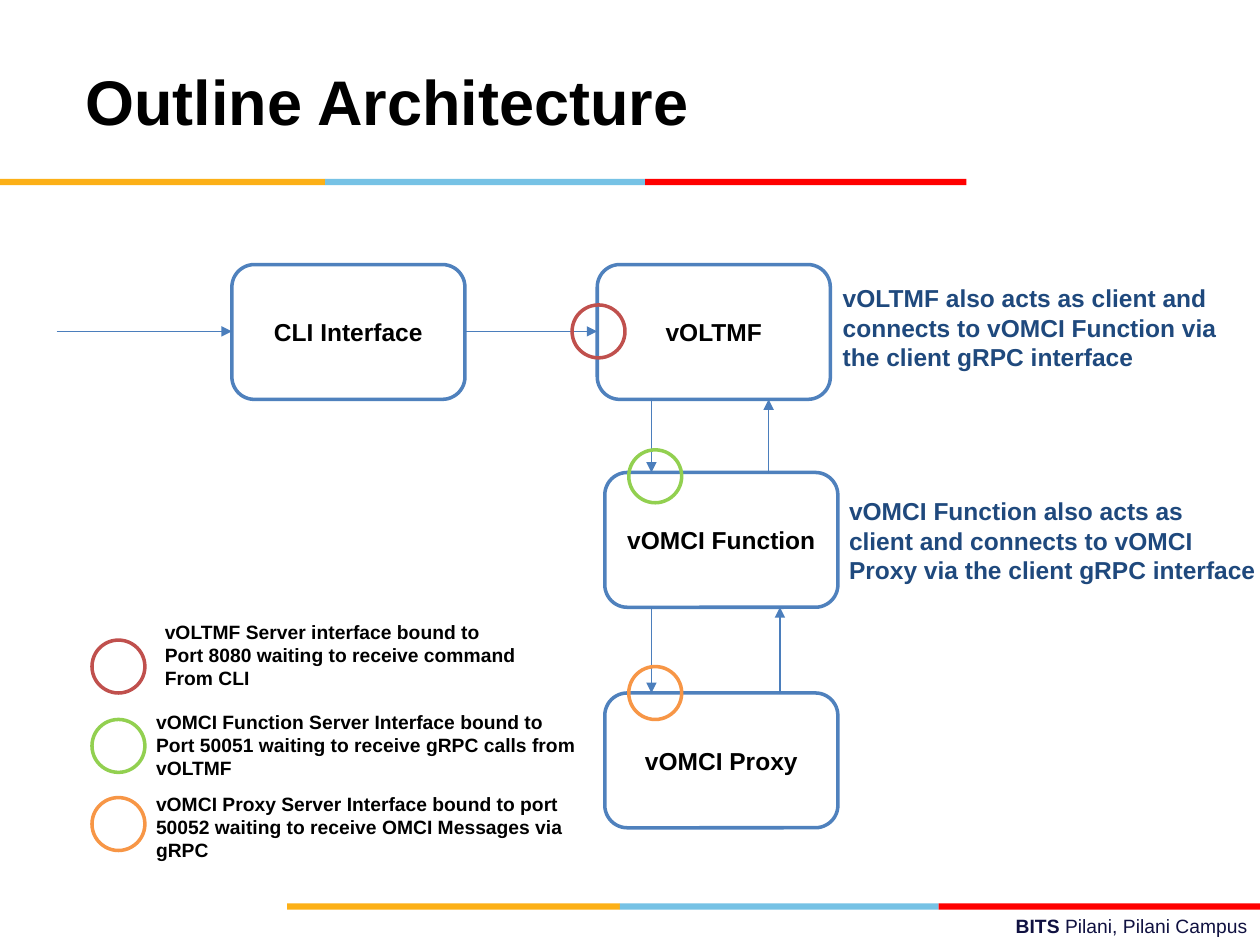
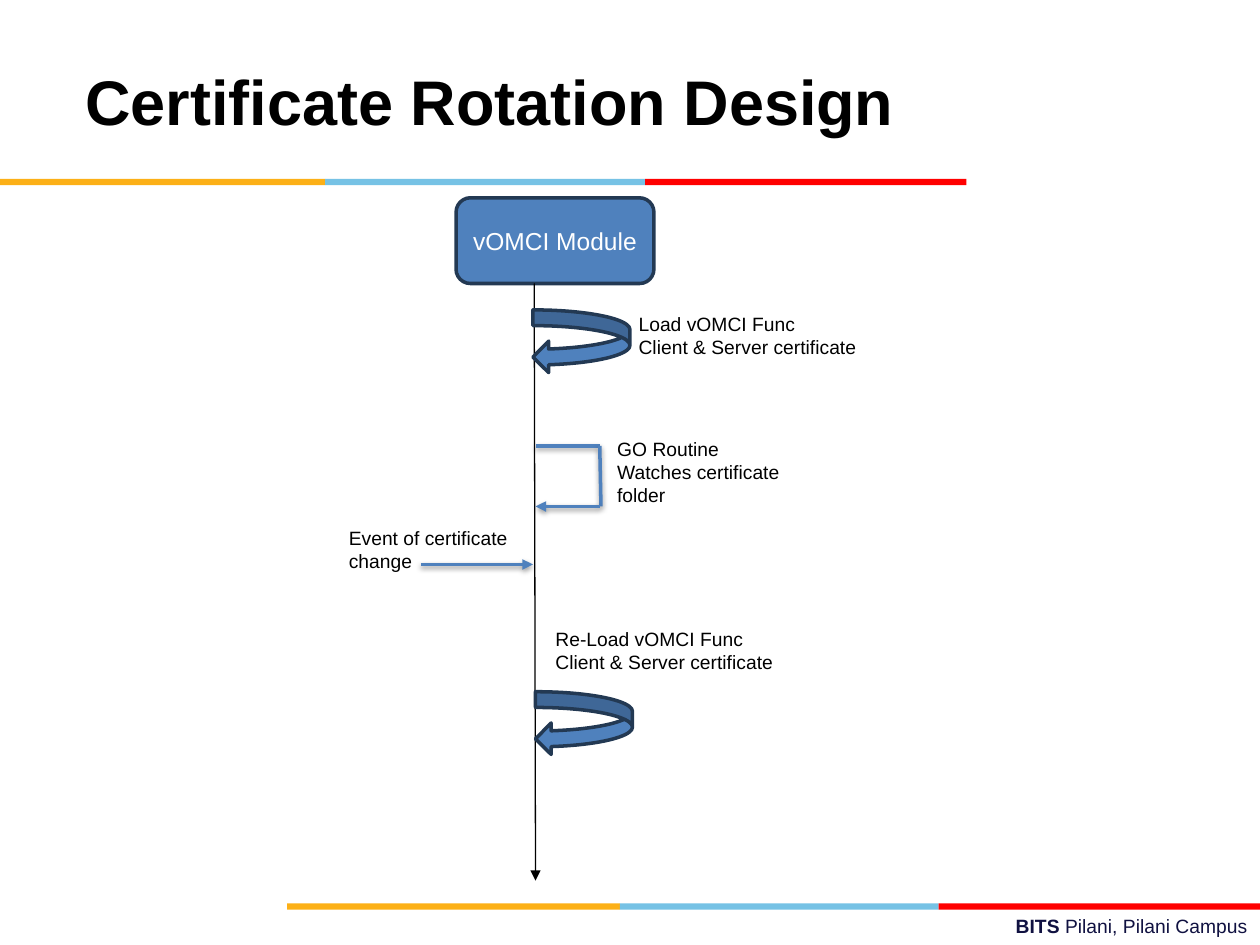
"""Build two slides on a gRPC architecture and its certificate rotation."""
from dataclasses import dataclass

from lxml import etree
from pptx import Presentation
from pptx.dml.color import RGBColor
from pptx.enum.shapes import MSO_CONNECTOR, MSO_SHAPE
from pptx.enum.text import MSO_ANCHOR, PP_ALIGN
from pptx.oxml.ns import qn
from pptx.shapes.autoshape import Shape
from pptx.slide import Slide
from pptx.util import Emu, Pt

STRAIGHT = MSO_CONNECTOR.STRAIGHT
RECT = MSO_SHAPE.RECTANGLE
ROUND = MSO_SHAPE.ROUNDED_RECTANGLE
OVAL = MSO_SHAPE.OVAL
CURVE = MSO_SHAPE.CURVED_LEFT_ARROW
MIDDLE = MSO_ANCHOR.MIDDLE
TOP = MSO_ANCHOR.TOP
LEFT = PP_ALIGN.LEFT
CENTER = PP_ALIGN.CENTER
RIGHT = PP_ALIGN.RIGHT

SCALE = 9144
FONT = "Arial"
BLACK = RGBColor(0x00, 0x00, 0x00)
WHITE = RGBColor(0xFF, 0xFF, 0xFF)
BLUE = RGBColor(0x4F, 0x81, 0xBD)
STEEL = RGBColor(0x4B, 0x7E, 0xBC)
DARK = RGBColor(0x23, 0x39, 0x53)
NAVY = RGBColor(0x1F, 0x49, 0x7D)
INK = RGBColor(0x10, 0x11, 0x41)
SKY = RGBColor(0x76, 0xC2, 0xE5)
GOLD = RGBColor(0xFC, 0xB0, 0x17)
RED = RGBColor(0xFF, 0x00, 0x00)
BRICK = RGBColor(0xC0, 0x50, 0x4D)
GREEN = RGBColor(0x92, 0xD0, 0x50)
ORANGE = RGBColor(0xF7, 0x96, 0x46)

RING = 42
BOX_W, BOX_H = 185, 107


@dataclass(frozen=True)
class Area:
    """A rectangle in px."""
    x: int
    y: int
    w: int
    h: int

    def emu(self) -> tuple[Emu, ...]:
        """Give left, top, width and height in EMU."""
        return tuple(px(n) for n in (self.x, self.y, self.w, self.h))


@dataclass(frozen=True)
class Type:
    """The look of a text."""
    size: int
    color: RGBColor = BLACK
    bold: bool = False
    align: PP_ALIGN = LEFT
    anchor: MSO_ANCHOR = TOP


@dataclass(frozen=True)
class Line:
    """A straight line between two points in px."""
    x1: int
    y1: int
    x2: int
    y2: int
    head: bool = True


@dataclass(frozen=True)
class Pen:
    """The stroke of a line."""
    color: RGBColor
    width: float
    shade: bool = False


@dataclass(frozen=True)
class Note:
    """A text with its place."""
    area: Area
    text: str


@dataclass(frozen=True)
class Ring:
    """A circle that marks a server port."""
    x: int
    y: int
    color: RGBColor


TITLE = Type(36, bold=True, anchor=MIDDLE)
NAME = Type(14, bold=True, align=CENTER, anchor=MIDDLE)
SOLID = Type(14, WHITE, align=CENTER, anchor=MIDDLE)
ASIDE = Type(14, NAVY, True)
KEY = Type(11, bold=True)
STEP = Type(11)
FOOT = Type(11, INK, align=RIGHT)

FLOW = Pen(STEEL, 0.75)
LIFE = Pen(BLACK, 0.75)
CALL = Pen(BLUE, 2, True)

BANDS = ((142, (0, 258, 512, 767)), (717, (228, 492, 745, 1000)))

PARTS = (
    Note(Area(184, 210, BOX_W, BOX_H), "CLI Interface"),
    Note(Area(474, 210, BOX_W, BOX_H), "vOLTMF"),
    Note(Area(480, 375, BOX_W, BOX_H), "vOMCI Function"),
    Note(Area(480, 550, BOX_W, BOX_H), "vOMCI Proxy"),
)
FLOWS = (
    Line(45, 263, 184, 263), Line(369, 263, 474, 263),
    Line(517, 317, 517, 375), Line(610, 375, 610, 317),
    Line(517, 482, 517, 550), Line(619, 550, 619, 482),
)
RINGS = (
    Ring(454, 242, BRICK), Ring(499, 357, GREEN), Ring(499, 529, ORANGE),
    Ring(73, 508, BRICK), Ring(73, 571, GREEN), Ring(73, 633, ORANGE),
)
KEYS = (
    Note(Area(121, 487, 300, 66),
         "vOLTMF Server interface bound to\n"
         "Port 8080 waiting to receive command\nFrom CLI"),
    Note(Area(114, 559, 359, 66),
         "vOMCI Function Server Interface bound to\n"
         "Port 50051 waiting to receive gRPC calls from\nvOLTMF"),
    Note(Area(114, 624, 344, 66),
         "vOMCI Proxy Server Interface bound to port\n"
         "50052 waiting to receive OMCI Messages via\ngRPC"),
)
ASIDES = (
    Note(Area(664, 389, 344, 81),
         "vOMCI Function also acts as\nclient and connects to vOMCI\n"
         "Proxy via the client gRPC interface"),
    Note(Area(659, 220, 323, 81),
         "vOLTMF also acts as client and\nconnects to vOMCI Function via\n"
         "the client gRPC interface"),
)

CALLS = (
    Line(425, 354, 476, 354, False), Line(476, 354, 477, 402, False),
    Line(476, 402, 425, 402), Line(334, 448, 423, 448),
)
LOOPS = (Area(423, 246, 77, 50), Area(425, 549, 77, 50))
STEPS = (
    Note(Area(497, 243, 194, 47),
         "Load vOMCI Func\nClient & Server certificate"),
    Note(Area(480, 342, 150, 66),
         "GO Routine\nWatches certificate\nfolder"),
    Note(Area(267, 413, 147, 47), "Event of certificate\nchange"),
    Note(Area(431, 493, 194, 47),
         "Re-Load vOMCI Func\nClient & Server certificate"),
)


def px(n: int) -> Emu:
    """Turn px into EMU."""
    return Emu(n * SCALE)


def write(shape: Shape, text: str, kind: Type) -> None:
    """Fill a shape with text, one paragraph a line."""
    frame = shape.text_frame
    frame.text = text
    frame.vertical_anchor = kind.anchor
    for para in frame.paragraphs:
        para.alignment = kind.align
        font = para.font
        font.name, font.size, font.bold = FONT, Pt(kind.size), kind.bold
        font.color.rgb = kind.color


def label(slide: Slide, note: Note, kind: Type, wrap: bool = False) -> Shape:
    """Add a text box."""
    shape = slide.shapes.add_textbox(*note.area.emu())
    shape.text_frame.word_wrap = wrap
    write(shape, note.text, kind)
    return shape


def form(slide: Slide, kind: MSO_SHAPE, area: Area,
         fill: RGBColor | None, edge: RGBColor | None) -> Shape:
    """Add a preset shape without shadow."""
    shape = slide.shapes.add_shape(kind, *area.emu())
    shape.shadow.inherit = False
    if fill is None:
        shape.fill.background()
    else:
        shape.fill.solid()
        shape.fill.fore_color.rgb = fill
    if edge is None:
        shape.line.fill.background()
    else:
        shape.line.color.rgb = edge
        shape.line.width = Pt(2)
    return shape


def draw(slide: Slide, line: Line, pen: Pen) -> None:
    """Add a line, with an arrowhead and a shadow where asked."""
    ends = (px(n) for n in (line.x1, line.y1, line.x2, line.y2))
    link = slide.shapes.add_connector(STRAIGHT, *ends)
    link.line.color.rgb = pen.color
    link.line.width = Pt(pen.width)
    props = link._element.spPr
    if line.head:
        etree.SubElement(props.find(qn("a:ln")), qn("a:tailEnd"),
                         type="triangle")
    effect = etree.SubElement(props, qn("a:effectLst"))
    if pen.shade:
        cast = etree.SubElement(
            effect, qn("a:outerShdw"), blurRad=str(Pt(3.1)),
            dist=str(Pt(1.6)), dir="5400000", rotWithShape="0")
        tint = etree.SubElement(cast, qn("a:srgbClr"), val=str(BLACK))
        etree.SubElement(tint, qn("a:alpha"), val="38000")


def start(deck: Presentation, title: str) -> Slide:
    """Add a slide with its bands, footer and title."""
    slide = deck.slides.add_slide(deck.slide_layouts[6])
    foot = label(slide, Note(Area(358, 721, 642, 29), "BITS "), FOOT, True)
    para = foot.text_frame.paragraphs[0]
    para.runs[0].font.bold = True
    tail = para.add_run()
    tail.text = "Pilani, Pilani Campus"
    tail.font.bold = False
    for y, stops in BANDS:
        for x, end, color in zip(stops, stops[1:], (GOLD, SKY, RED)):
            form(slide, RECT, Area(x, y, end - x, 5), color, None)
    head = label(slide, Note(Area(33, 17, 692, 125), title), TITLE, True)
    props = head.text_frame.paragraphs[0]._p.get_or_add_pPr()
    props.set("marL", str(px(50)))
    props.set("indent", str(px(-25)))
    return slide


def outline(deck: Presentation) -> None:
    """Draw the architecture slide."""
    slide = start(deck, "Outline Architecture")
    for part in PARTS:
        write(form(slide, ROUND, part.area, WHITE, BLUE), part.text, NAME)
    for flow in FLOWS:
        draw(slide, flow, FLOW)
    for ring in RINGS:
        form(slide, OVAL, Area(ring.x, ring.y, RING, RING), None, ring.color)
    for note in KEYS:
        label(slide, note, KEY)
    for note in ASIDES:
        label(slide, note, ASIDE)


def design(deck: Presentation) -> None:
    """Draw the certificate slide."""
    slide = start(deck, "Certificate Rotation Design")
    box = form(slide, ROUND, Area(362, 157, 157, 68), BLUE, DARK)
    write(box, "vOMCI Module", SOLID)
    draw(slide, Line(424, 225, 425, 699), LIFE)
    for loop in LOOPS:
        form(slide, CURVE, loop, BLUE, DARK)
    for call in CALLS:
        draw(slide, call, CALL)
    for step in STEPS:
        label(slide, step, STEP)


def main() -> None:
    """Build and save the deck."""
    deck = Presentation()
    deck.slide_width, deck.slide_height = px(1000), px(750)
    outline(deck)
    design(deck)
    deck.save("out.pptx")


if __name__ == "__main__":
    main()
